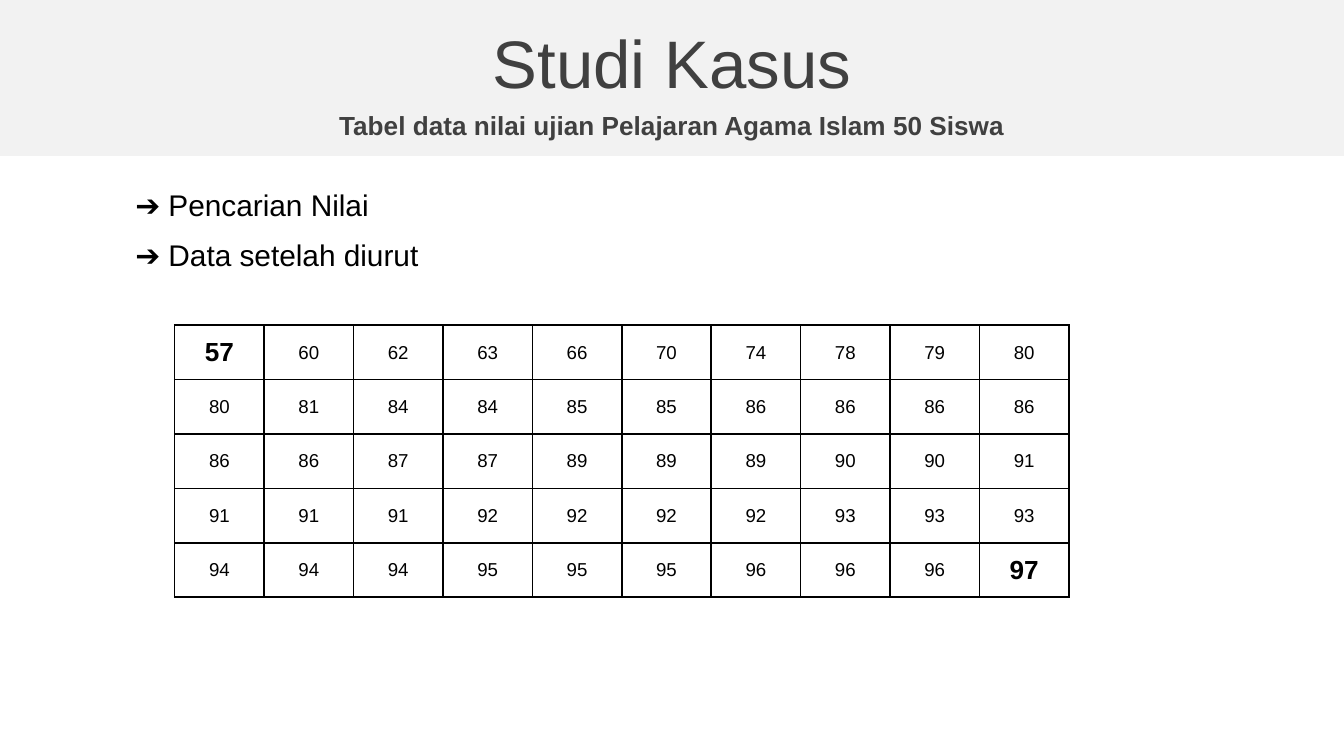
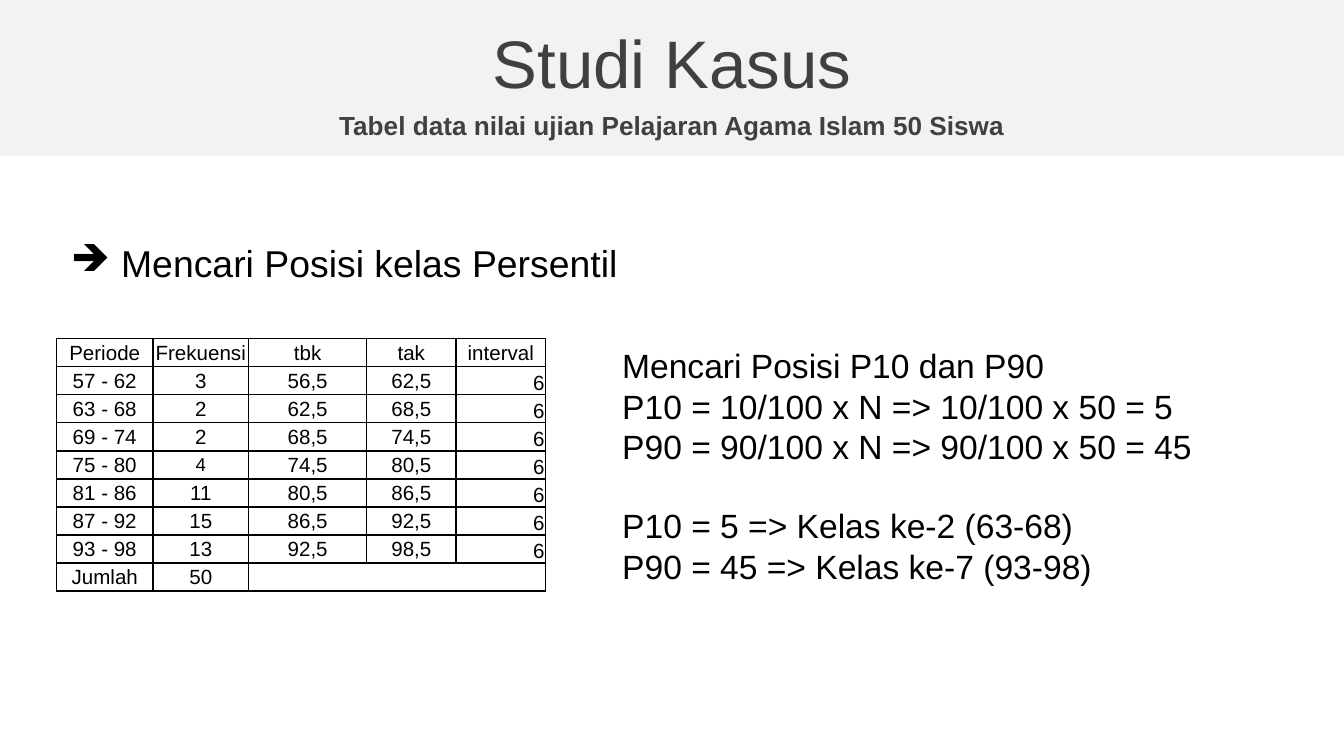
from lxml.etree import SubElement
from pptx import Presentation
from pptx.dml.color import RGBColor
from pptx.enum.shapes import MSO_SHAPE
from pptx.enum.text import MSO_ANCHOR, PP_ALIGN
from pptx.oxml.ns import qn
from pptx.util import Cm, Pt

BLACK = RGBColor(0x00, 0x00, 0x00)
DARK_GRAY = RGBColor(0x40, 0x40, 0x40)
BAND_GRAY = RGBColor(0xF2, 0xF2, 0xF2)
FONT = "Arial"


def add_text(slide, box, lines, size, color=BLACK, bold=False,
             align=PP_ALIGN.JUSTIFY, anchor=MSO_ANCHOR.MIDDLE):
    text_frame = slide.shapes.add_textbox(*[Cm(length) for length in box]).text_frame
    text_frame.word_wrap = True
    text_frame.vertical_anchor = anchor
    text_frame.text = "\n".join(lines)
    for paragraph in text_frame.paragraphs:
        paragraph.alignment = align
        for run in paragraph.runs:
            run.font.name = FONT
            run.font.size = Pt(size)
            run.font.bold = bold
            run.font.color.rgb = color
    return text_frame.paragraphs


def add_grid(slide, left, top, widths, row_height, rows, size):
    table = slide.shapes.add_table(
        len(rows), len(widths), Cm(left), Cm(top),
        Cm(sum(widths)), Cm(row_height * len(rows))).table
    table.first_row = False
    table.horz_banding = False
    for column, width in zip(table.columns, widths):
        column.width = Cm(width)
    for row_index, values in enumerate(rows):
        table.rows[row_index].height = Cm(row_height)
        for column_index, value in enumerate(values):
            cell = table.cell(row_index, column_index)
            cell.text = value
            cell.vertical_anchor = MSO_ANCHOR.MIDDLE
            cell.margin_left = cell.margin_right = cell.margin_top = Cm(0.02)
            cell.margin_bottom = 0
            properties = cell._tc.get_or_add_tcPr()
            for side in ("a:lnL", "a:lnR", "a:lnT", "a:lnB"):
                border = SubElement(properties, qn(side), w=str(Pt(1)))
                fill = SubElement(border, qn("a:solidFill"))
                SubElement(fill, qn("a:srgbClr"), val=str(BLACK))
            cell.fill.background()
            paragraph = cell.text_frame.paragraphs[0]
            paragraph.alignment = PP_ALIGN.CENTER
            for run in paragraph.runs:
                run.font.name = FONT
                run.font.size = Pt(size)
                run.font.color.rgb = BLACK
            if not value:
                SubElement(paragraph._p, qn("a:endParaRPr"), sz=str(size * 100))
    return table


presentation = Presentation()
presentation.slide_width = Cm(25.4)
presentation.slide_height = Cm(14.29)

headings = [
    ((0, 0.36, 25.4, 1.6), "Studi Kasus", 36, False),
    ((0, 1.96, 25.4, 0.79), "Tabel data nilai ujian Pelajaran Agama Islam 50 Siswa", 14, True),
]
slides = []
for _ in range(2):
    slide = presentation.slides.add_slide(presentation.slide_layouts[6])
    band = slide.shapes.add_shape(MSO_SHAPE.RECTANGLE, 0, 0, Cm(25.4), Cm(2.95))
    band.shadow.inherit = False
    band.fill.solid()
    band.fill.fore_color.rgb = BAND_GRAY
    band.line.fill.background()
    for box, heading, size, bold in headings:
        paragraphs = add_text(slide, box, [heading], size, DARK_GRAY, bold, PP_ALIGN.CENTER)
        paragraphs[0].space_before = Pt(size * 0.1)
    slides.append(slide)
sorted_slide, percentile_slide = slides

add_text(sorted_slide, (2.31, 3.4, 11.43, 0.94), ["➔ Pencarian Nilai"], 16)
add_text(sorted_slide, (2.31, 4.34, 11.43, 0.94), ["➔ Data setelah diurut"], 16)

sorted_scores = [
    "57 60 62 63 66 70 74 78 79 80",
    "80 81 84 84 85 85 86 86 86 86",
    "86 86 87 87 89 89 89 90 90 91",
    "91 91 91 92 92 92 92 93 93 93",
    "94 94 94 95 95 95 96 96 96 97",
]
score_table = add_grid(sorted_slide, 3.3, 6.14, [1.69] * 10, 1.03,
                       [scores.split() for scores in sorted_scores], 10)
for extreme in (score_table.cell(0, 0), score_table.cell(4, 9)):
    font = extreme.text_frame.paragraphs[0].runs[0].font
    font.size = Pt(14)
    font.bold = True

bullet = add_text(percentile_slide, (1.09, 4.4, 11.43, 1.11),
                  ["Mencari Posisi kelas Persentil"], 20)[0]
bullet_properties = bullet._p.get_or_add_pPr()
bullet_properties.set("marL", str(Cm(0.95)))
bullet_properties.set("indent", str(-Cm(0.95)))
SubElement(bullet_properties, qn("a:buChar"), char="➔")

frequencies = [3, 2, 2, 4, 11, 15, 13]
class_width = 6
class_rows = [["Periode", "Frekuensi", "tbk", "tak", "interval"]]
for index, frequency in enumerate(frequencies):
    first = 57 + index * class_width
    last = first + class_width - 1
    class_rows.append([f"{first} - {last}", str(frequency),
                       f"{first - 1},5", f"{last},5", str(class_width)])
class_rows.append(["Jumlah", str(sum(frequencies)), "", "", ""])

class_table = add_grid(percentile_slide, 1.07, 6.4, [1.82, 1.81, 2.23, 1.69, 1.69],
                       0.53, class_rows, 11)
class_table.cell(8, 2).merge(class_table.cell(8, 4))
class_table.cell(4, 1).text_frame.paragraphs[0].runs[0].font.size = Pt(10)
for row_index in range(1, 8):
    interval_cell = class_table.cell(row_index, 4)
    interval_cell.vertical_anchor = MSO_ANCHOR.BOTTOM
    interval_cell.text_frame.paragraphs[0].alignment = PP_ALIGN.RIGHT

position_lines = [
    "Mencari Posisi P10 dan P90",
    "P10 = 10/100 x N => 10/100 x 50 = 5",
    "P90 = 90/100 x N => 90/100 x 50 = 45",
    "P10 = 5 => Kelas ke-2 (63-68)",
    "P90 = 45 => Kelas ke-7 (93-98)",
]
position_paragraphs = add_text(percentile_slide, (11.51, 6.4, 11.99, 4.88), position_lines, 18,
                               align=PP_ALIGN.LEFT, anchor=MSO_ANCHOR.TOP)
position_paragraphs[3].space_before = Pt(21)

presentation.save("out.pptx")
